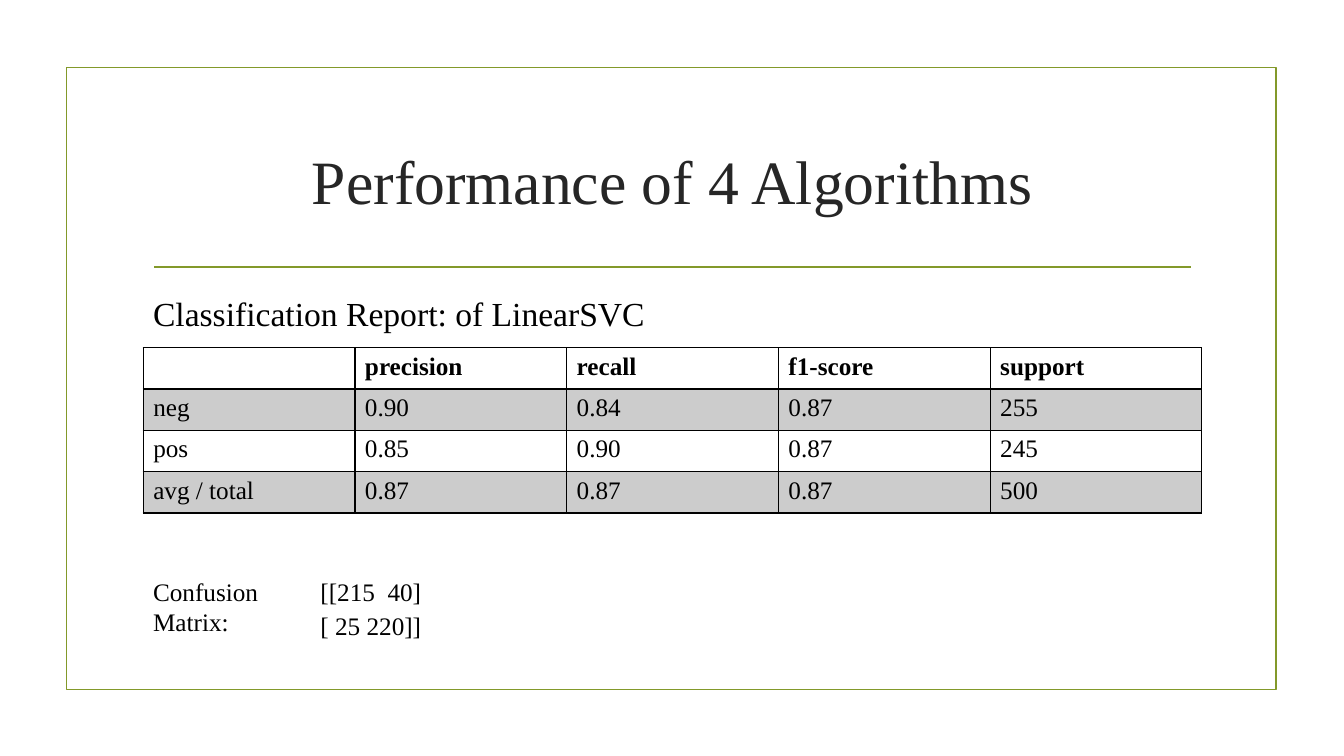
from lxml import etree
from pptx import Presentation
from pptx.dml.color import RGBColor
from pptx.enum.shapes import MSO_CONNECTOR, MSO_SHAPE
from pptx.enum.text import MSO_ANCHOR, MSO_AUTO_SIZE, PP_ALIGN
from pptx.oxml.ns import qn
from pptx.util import Inches, Pt

RECTANGLE, STRAIGHT = MSO_SHAPE.RECTANGLE, MSO_CONNECTOR.STRAIGHT
MIDDLE, CENTER = MSO_ANCHOR.MIDDLE, PP_ALIGN.CENTER
NO_AUTOFIT, GROW = MSO_AUTO_SIZE.NONE, MSO_AUTO_SIZE.SHAPE_TO_FIT_TEXT

COLORS = {"accent": "83992A", "title": "262626", "ink": "000000"}
FONT = "Times New Roman"
LEFT, COLUMN, ROW = 1.42, 2.1, 0.41
BAND_OPACITY = 20


def style_runs(paragraph, size, color="ink", bold=False):
    for run in paragraph.runs:
        for name, value in {"name": FONT, "size": Pt(size), "bold": bold}.items():
            setattr(run.font, name, value)
        run.font.color.rgb = RGBColor.from_string(COLORS[color])


def add_border(cell, side, points):
    border = etree.SubElement(cell._tc.get_or_add_tcPr(), qn(f"a:ln{side}"), w=str(Pt(points)))
    fill = etree.SubElement(border, qn("a:solidFill"))
    etree.SubElement(fill, qn("a:srgbClr"), val=COLORS["ink"])


prs = Presentation()
prs.slide_width, prs.slide_height = Inches(13.33), Inches(7.5)
slide = prs.slides.add_slide(prs.slide_layouts[5])
shapes = slide.shapes

# Frame and rule under the title
frame = shapes.add_shape(RECTANGLE, *map(Inches, (0.66, 0.67, 12, 6.17)))
frame.shadow.inherit = False
frame.fill.background()
rule = shapes.add_connector(STRAIGHT, *map(Inches, (1.53, 2.65, 11.81, 2.65)))
etree.SubElement(rule._element.spPr, qn("a:effectLst"))
for outlined in (frame, rule):
    outlined.line.color.rgb = RGBColor.from_string(COLORS["accent"])
    outlined.line.width = Pt(1.25)

# Title
title = shapes.title
title.left, title.top, title.width, title.height = map(Inches, (LEFT, 1.07, 5 * COLUMN, 1.43))
heading = title.text_frame
heading.text = "Performance of 4 Algorithms"
for name, value in {"auto_size": NO_AUTOFIT, "vertical_anchor": MIDDLE, "word_wrap": True}.items():
    setattr(heading, name, value)
heading.paragraphs[0].alignment = CENTER
style_runs(heading.paragraphs[0], 44, "title")

# Classification report
report = [
    ["", "precision", "recall", "f1-score", "support"],
    ["neg", "0.90", "0.84", "0.87", "255"],
    ["pos", "0.85", "0.90", "0.87", "245"],
    ["avg / total", "0.87", "0.87", "0.87", "500"],
]
scores = shapes.add_table(
    len(report), len(report[0]),
    *map(Inches, (LEFT, 3.45, len(report[0]) * COLUMN, len(report) * ROW)),
).table
scores.first_row = scores.horz_banding = False
for r, row in enumerate(report):
    for c, value in enumerate(row):
        cell = scores.cell(r, c)
        cell.text = value
        style_runs(cell.text_frame.paragraphs[0], 18, bold=r == 0)
        # The line between header and body is heavier
        for side, points in {"L": 1, "R": 1, "T": 2 if r == 1 else 1, "B": 2 if r == 0 else 1}.items():
            add_border(cell, side, points)
        if r % 2:
            cell.fill.solid()
            cell.fill.fore_color.rgb = RGBColor.from_string(COLORS["ink"])
            shade = cell._tc.tcPr.find(qn("a:solidFill")).find(qn("a:srgbClr"))
            etree.SubElement(shade, qn("a:alpha"), val=str(BAND_OPACITY * 1000))
        else:
            cell.fill.background()

# Report heading and confusion matrix
captions = [
    ("Classification Report: of LinearSVC", (LEFT, 2.86, 5.9, 0.5), 24, 1),
    ("[[215  40]\n[ 25 220]]", (3.08, 5.62, 4.61, 0.8), 18, 1.15),
    ("Confusion Matrix:", (LEFT, 5.67, 1.58, 0.71), 18, 1),
]
for wording, place, size, spacing in captions:
    caption = shapes.add_textbox(*map(Inches, place)).text_frame
    caption.word_wrap = True
    caption.auto_size = GROW
    line = caption.paragraphs[0]
    line.text = wording
    line.line_spacing = spacing
    style_runs(line, size)

prs.save("out.pptx")
